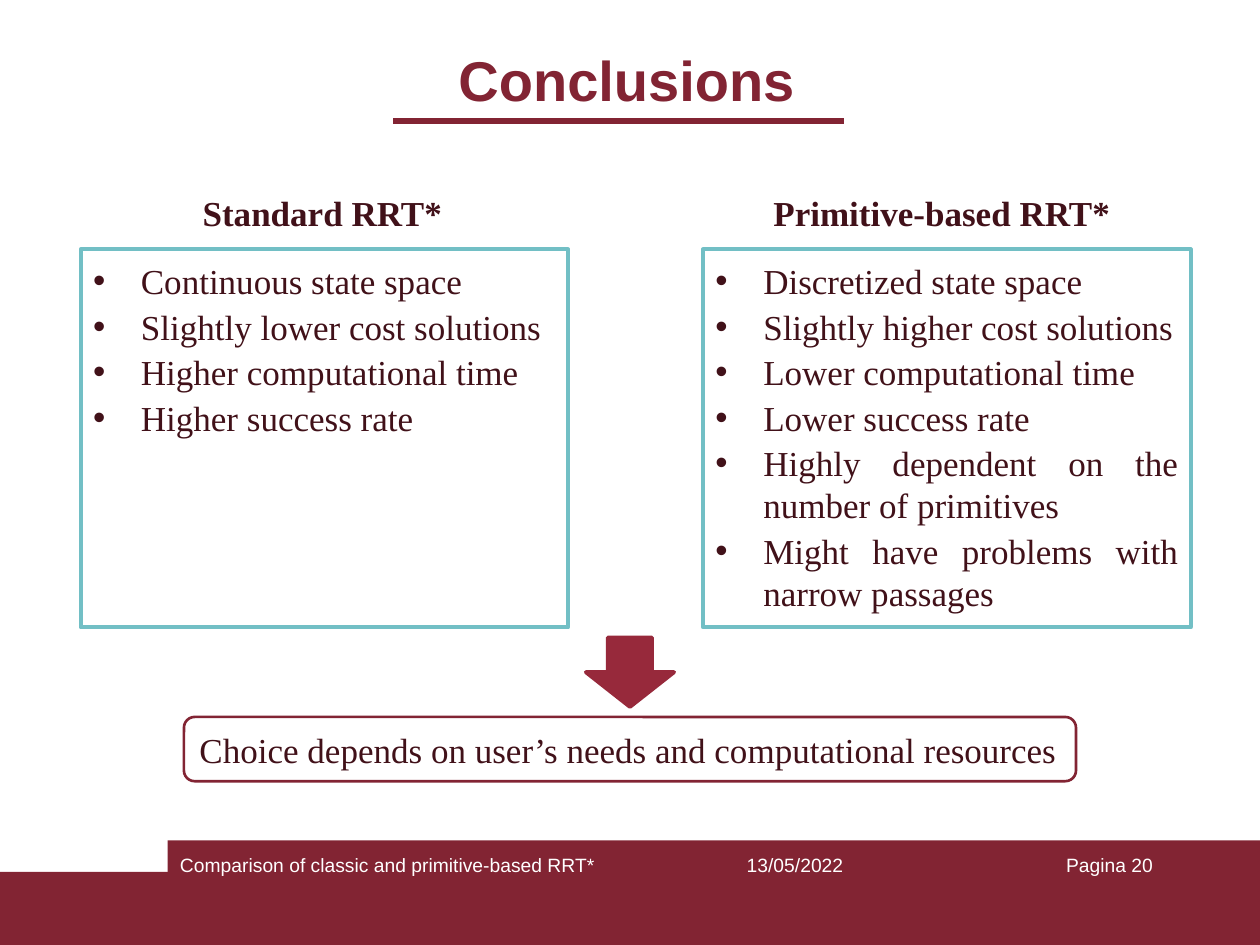
from dataclasses import dataclass
from lxml.etree import SubElement as Sub
from pptx import Presentation
from pptx.dml.color import RGBColor as RGB
from pptx.enum.shapes import MSO_CONNECTOR as Conn, MSO_SHAPE as Shape
from pptx.enum.text import MSO_ANCHOR as Anchor, PP_ALIGN as Align
from pptx.oxml.ns import qn
from pptx.util import Inches, Pt

COLORS = {
    "wine": "822433",
    "arrow": "97293B",
    "teal": "72BFC5",
    "ink": "411119",
    "white": "FFFFFF",
}
SANS, SERIF = "Arial", "Times New Roman"


def color(name):
    return RGB.from_string(COLORS[name])


@dataclass
class Deck:
    slide: object
    sans: str = SANS
    serif: str = SERIF

    def shape(self, kind, box, fill=None, line=None, width=1):
        item = self.slide.shapes.add_shape(kind, *map(Inches, box))
        item.shadow.inherit = False
        if fill:
            item.fill.solid()
            item.fill.fore_color.rgb = color(fill)
        else:
            item.fill.background()
        if line:
            item.line.color.rgb = color(line)
            item.line.width = Pt(width)
        else:
            item.line.fill.background()
        return item

    def words(self, item, text, size, font, tone, align=Align.LEFT,
              bold=False, anchor=Anchor.TOP):
        frame = item.text_frame
        frame.text = text
        frame.word_wrap = True
        frame.vertical_anchor = anchor
        for par in frame.paragraphs:
            par.alignment = align
            for run in par.runs:
                run.font.name = font
                run.font.size = Pt(size)
                run.font.bold = bold
                run.font.color.rgb = color(tone)
        return frame

    def label(self, box, text, size, font, tone, **style):
        item = self.slide.shapes.add_textbox(*map(Inches, box))
        self.words(item, text, size, font, tone, **style)

    def panel(self, box, points):
        item = self.shape(Shape.RECTANGLE, box, line="teal", width=2.25)
        frame = self.words(item, "\n".join(points), 20, self.serif, "ink",
                           align=Align.JUSTIFY)
        frame.margin_top = Inches(0.08)
        for i, par in enumerate(frame.paragraphs):
            if i:
                par.space_before = Pt(2)
            props = par._p.get_or_add_pPr()
            props.set("marL", str(Inches(0.38)))
            props.set("indent", str(Inches(-0.38)))
            Sub(props, qn("a:buFont")).set("typeface", self.sans)
            Sub(props, qn("a:buChar")).set("char", "•")

    def rule(self, left, right, top, tone, width):
        ends = map(Inches, (left, top, right, top))
        item = self.slide.shapes.add_connector(Conn.STRAIGHT, *ends)
        item.line.color.rgb = color(tone)
        item.line.width = Pt(width)
        Sub(item._element.spPr, qn("a:effectLst"))


def main():
    show = Presentation()
    show.slide_width, show.slide_height = Inches(10), Inches(7.5)
    deck = Deck(show.slides.add_slide(show.slide_layouts[6]))

    for box in ((0, 6.92, 10, 0.58), (1.33, 6.67, 8.67, 0.83)):
        deck.shape(Shape.RECTANGLE, box, fill="wine")

    deck.label((3.54, 0.31, 2.91, 0.64), "Conclusions", 32, SANS, "wine",
               bold=True)
    deck.rule(3.12, 6.7, 0.96, "wine", 3)

    sides = (
        (0.64, 1.51, 2.14, "Standard RRT*", (
            "Continuous state space",
            "Slightly lower cost solutions",
            "Higher computational time",
            "Higher success rate",
        )),
        (5.58, 6.04, 2.96, "Primitive-based RRT*", (
            "Discretized state space",
            "Slightly higher cost solutions",
            "Lower computational time",
            "Lower success rate",
            "Highly dependent on the number of primitives",
            "Might have problems with narrow passages",
        )),
    )
    for left, start, width, head, points in sides:
        deck.label((start, 1.47, width, 0.39), head, 20, SERIF, "ink",
                   align=Align.JUSTIFY, bold=True)
        deck.panel((left, 1.98, 3.87, 3), points)

    deck.shape(Shape.DOWN_ARROW, (4.65, 5.06, 0.7, 0.55), "arrow", "arrow", 2.25)
    choice = deck.shape(Shape.ROUNDED_RECTANGLE, (1.46, 5.69, 7.08, 0.51),
                        line="wine", width=1.5)
    deck.words(choice, "Choice depends on user’s needs and computational resources",
               20, SERIF, "ink", align=Align.JUSTIFY, anchor=Anchor.MIDDLE)

    foot = (
        (1.33, 3.51, "Comparison of classic and primitive-based RRT*", Align.LEFT),
        (5.27, 2.08, "13/05/2022", Align.CENTER),
        (7.17, 2.08, "Pagina 20", Align.RIGHT),
    )
    for left, width, text, align in foot:
        deck.label((left, 6.72, width, 0.5), text, 11, SANS, "white", align=align)

    show.save("out.pptx")


if __name__ == "__main__":
    main()
